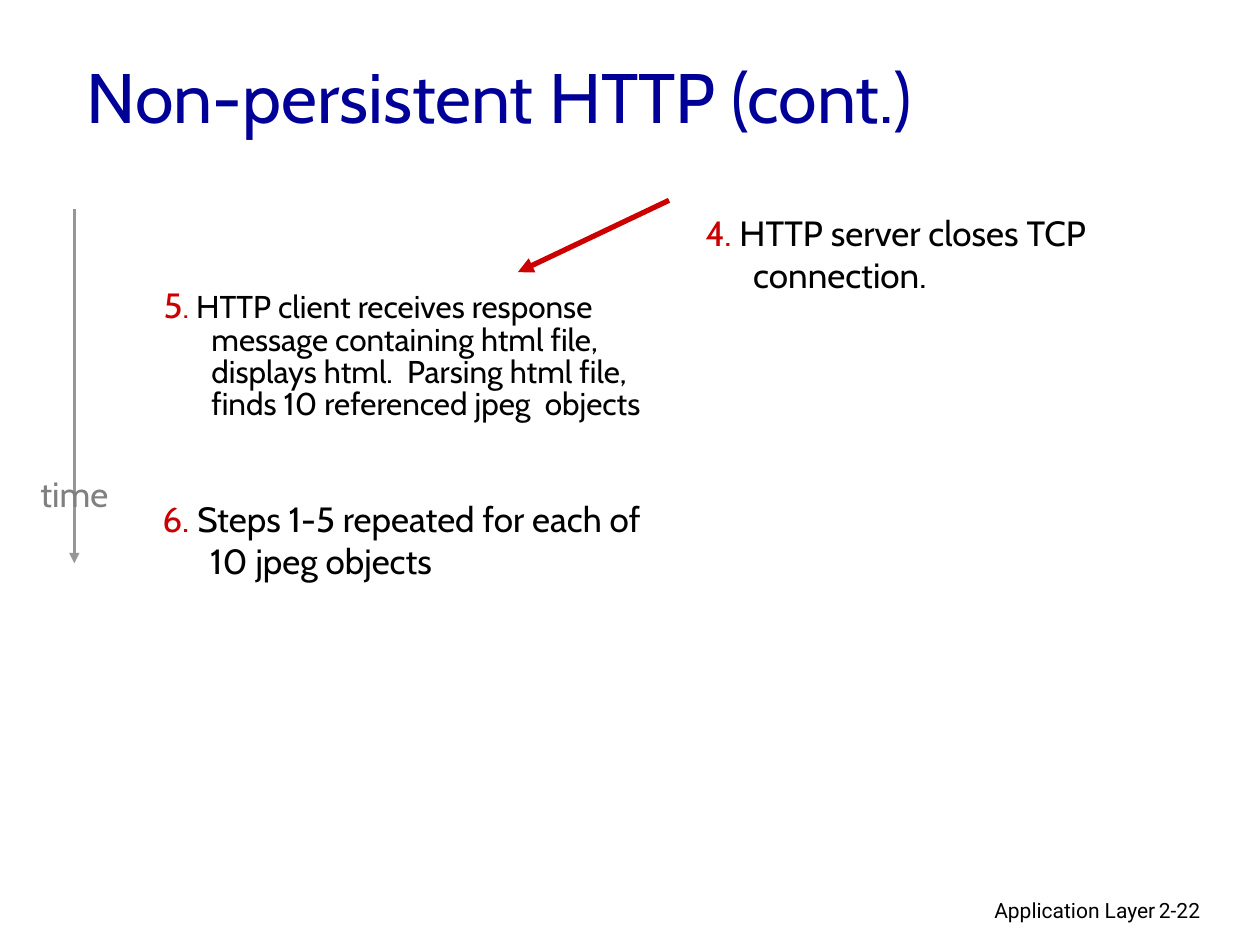
from lxml import etree
from pptx import Presentation
from pptx.dml.color import RGBColor
from pptx.enum.shapes import MSO_CONNECTOR
from pptx.enum.text import MSO_ANCHOR, PP_ALIGN
from pptx.oxml.ns import qn
from pptx.util import Inches, Pt

LEFT, CENTER, RIGHT = PP_ALIGN.LEFT, PP_ALIGN.CENTER, PP_ALIGN.RIGHT
MIDDLE, TOP = MSO_ANCHOR.MIDDLE, MSO_ANCHOR.TOP
STRAIGHT = MSO_CONNECTOR.STRAIGHT
TITLE_ONLY = 5

CELL = 0.1  # grid of 100 columns by 75 rows, in inches
COLORS = {"title": "000099", "text": "000000", "accent": "CC0000",
          "axis": "969696", "time": "808080"}
BODY_FONT, FOOTER_FONT = "Cabin", "Roboto"
STEP_WIDTH = 41.7


def grid(*cells):
    return [Inches(n * CELL) for n in cells]


def place(sp, box):
    sp.left, sp.top, sp.width, sp.height = grid(*box)


def add_run(p, text, size, color, font=BODY_FONT):
    r = p.add_run()
    r.text = text
    r.font.size = Pt(size)
    r.font.name = font
    r.font.color.rgb = RGBColor.from_string(COLORS[color])


def add_text(s, box, runs, align=LEFT, wrap=True):
    """Text box with one paragraph made of (text, size, color[, font]) runs."""
    tf = s.shapes.add_textbox(*grid(*box)).text_frame
    tf.word_wrap = wrap
    tf.vertical_anchor = TOP
    p = tf.paragraphs[0]
    p.alignment = align
    for run in runs:
        add_run(p, *run)
    return p


def add_arrow(s, start, end, color, width):
    line = s.shapes.add_connector(STRAIGHT, *grid(*start, *end))
    line.line.color.rgb = RGBColor.from_string(COLORS[color])
    line.line.width = Pt(width)
    etree.SubElement(line.line._get_or_add_ln(), qn("a:tailEnd"), type="triangle")
    etree.SubElement(line._element.spPr, qn("a:effectLst"))


def add_title(s, box, text):
    title = s.shapes.title
    place(title, box)
    tf = title.text_frame
    tf.word_wrap = True
    tf.vertical_anchor = MIDDLE
    p = tf.paragraphs[0]
    p.alignment = LEFT
    add_run(p, text, 40, "title")


def add_step(s, box, runs, before=5, spacing=1.0):
    """Numbered step with a hanging indent."""
    p = add_text(s, box, runs)
    p.space_before = Pt(before)
    p.line_spacing = spacing
    pPr = p._p.get_or_add_pPr()
    pPr.set("marL", str(Inches(0.38)))
    pPr.set("indent", str(-Inches(0.38)))


def add_timeline(s, box):
    x, y, w, h = box
    middle = x + w / 2
    add_arrow(s, (middle, y), (middle, y + h), "axis", 1.5)
    label = (x, y + h * 0.726, w, 4.4)
    add_text(s, label, [("time", 20, "time")], CENTER, wrap=False)


def add_footer(s, box):
    x, y, w, h = box
    number_width = 7.4
    section = (x, y, w - number_width + 1.7, h)
    number = (x + w - number_width, y, number_width, h)
    add_text(s, section, [("Application Layer", 12, "text", FOOTER_FONT)], RIGHT)
    add_text(s, number, [("2-22", 12, "text", FOOTER_FONT)])


def add_steps(s):
    # Server side
    add_step(s, (55, 16.3, STEP_WIDTH, 8),
             [("4.", 20, "accent"),
              (" HTTP server closes TCP connection.", 20, "text")])
    # Client side
    add_step(s, (12, 22.5, STEP_WIDTH, 16.8),
             [("5", 20, "accent"), (".", 18, "accent"),
              (" HTTP client receives response message containing html file, "
               "displays html.  Parsing html file, finds 10 referenced jpeg  objects",
               18, "text")],
             before=4.5, spacing=0.85)
    add_step(s, (11.9, 39, STEP_WIDTH, 7.3),
             [("6.", 20, "accent"),
              (" Steps 1-5 repeated for each of 10 jpeg objects", 20, "text")])
    # Response from server to client
    add_arrow(s, (53.1, 15.9), (41.1, 21.6), "accent", 3)


def main():
    prs = Presentation()
    prs.slide_width, prs.slide_height = grid(100, 75)
    s = prs.slides.add_slide(prs.slide_layouts[TITLE_ONLY])
    add_footer(s, (61, 70.7, 37.4, 3.1))
    add_title(s, (5.9, 2.8, 85, 9.5), "Non-persistent HTTP (cont.)")
    add_steps(s)
    add_timeline(s, (2.2, 16.6, 7.4, 28.1))
    prs.save("out.pptx")


if __name__ == "__main__":
    main()
